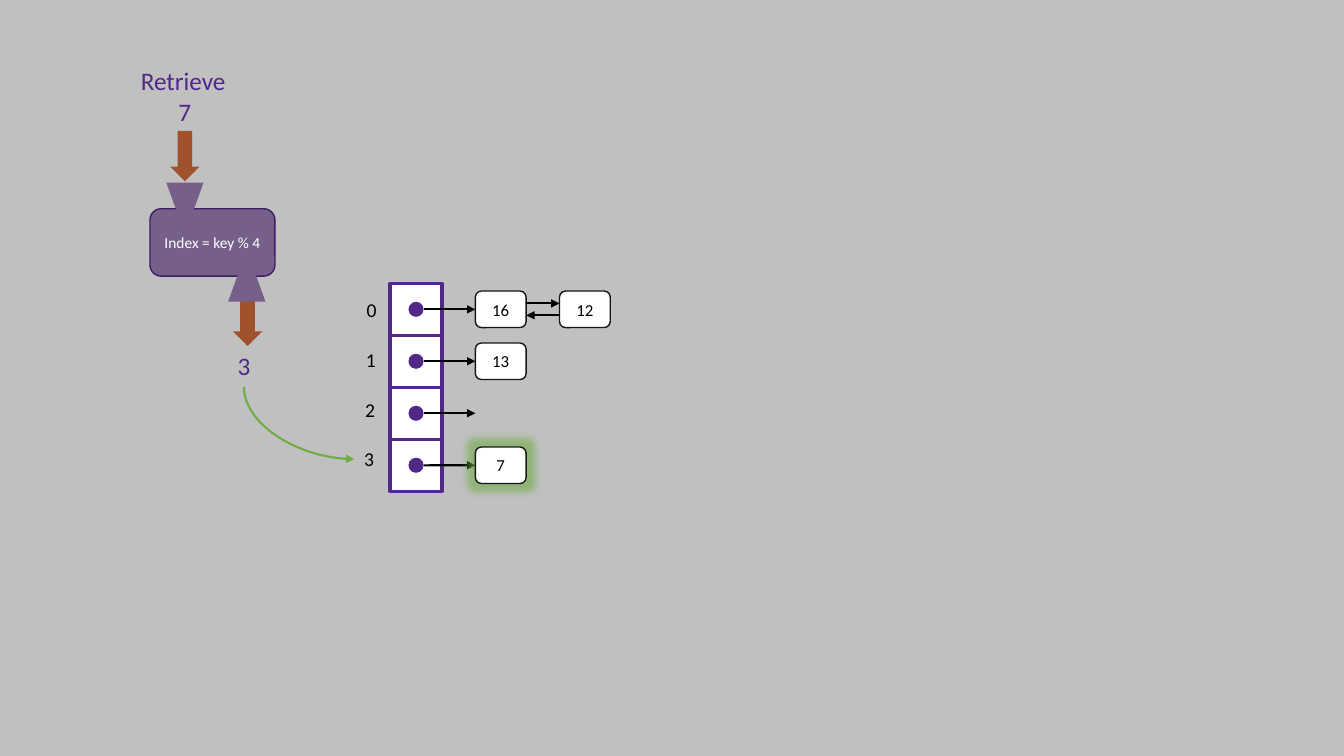
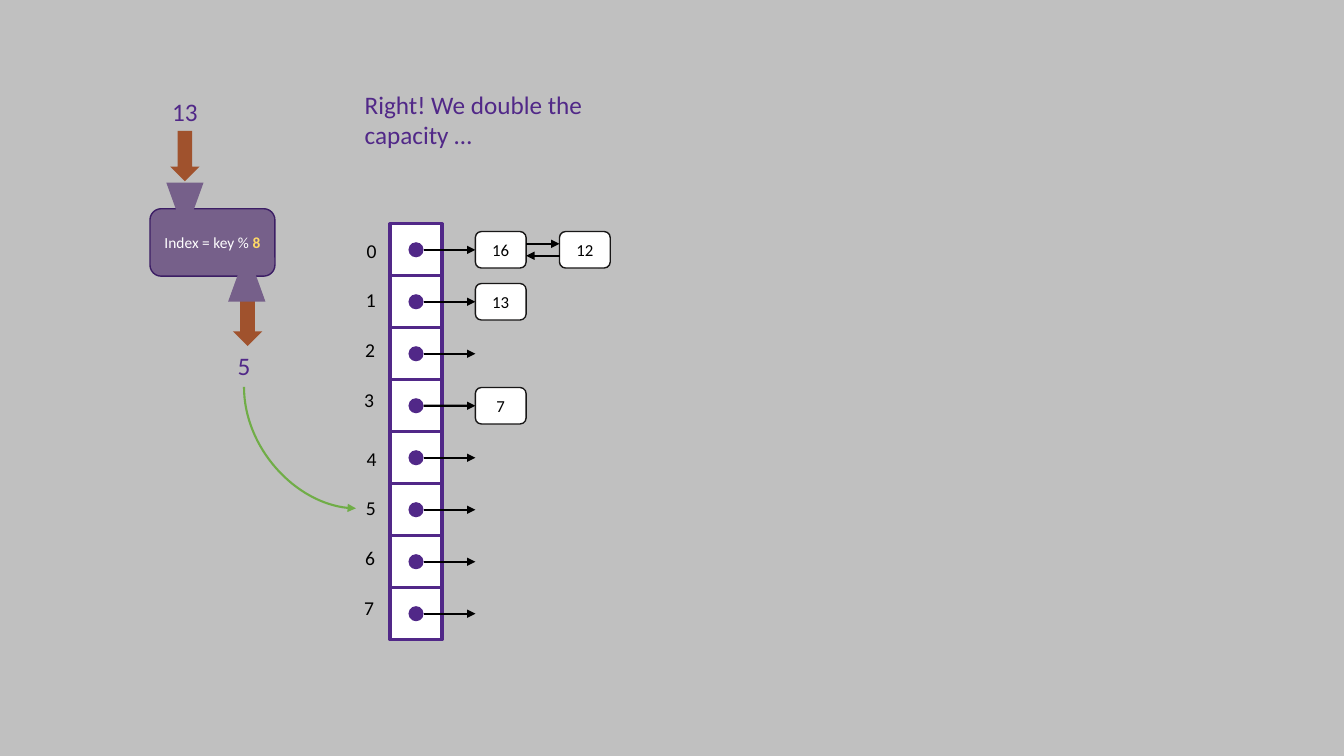
from lxml import etree
from pptx import Presentation, util as u
from pptx.dml.color import RGBColor
from pptx.enum import shapes, text
from pptx.oxml.ns import qn

Cm = u.Cm
KIND = shapes.MSO_SHAPE
COLORS = {
    "background": "C0C0C0", "purple": "512888", "machine": "76608A",
    "machine_edge": "3C1E65", "arrow": "A0522D", "pointer": "70AD47",
    "gold": "FFD966", "white": "FFFFFF", "black": "000000", "node_edge": "181717",
}
FONT = "Calibri"

# Content: chains maps a bucket to the keys stored in it
CHAINS = {0: ["16", "12"], 1: ["13"], 3: ["7"]}
SLIDES = [
    {"key": "7", "formula": [("Index = key % 4", "white", False)], "index": 3,
     "buckets": 4, "table_top": 7.14, "found": "7",
     "captions": [("Retrieve", 3.3, 1.52, 2.67, 1.02, False)]},
    {"key": "13", "formula": [("Index = key % ", "white", False), ("8", "gold", True)],
     "index": 5, "buckets": 8, "table_top": 5.64, "found": None,
     "captions": [("Right! We double the capacity …", 8.94, 2.13, 6.71, 1.8, True)]},
]

# Layout in centimetres
CELL, CELL_LEFT, DOT = 1.31, 9.83, 0.38
NODE_LEFT, NODE_STEP, NODE_W, NODE_H = 11.98, 2.12, 1.28, 0.92
LABEL_LEFT, LABEL_STEP, LABEL_W, LABEL_H = 8.99, 1.25, 0.76, 0.86
LABEL_GROUP = 4
LINK_OFFSET = 0.15
INPUT_X, OUTPUT_X = 4.66, 6.15
NUMBER_W, NUMBER_H = 1.17, 1.02


def color(name):
    return RGBColor.from_string(COLORS[name])


def write(frame, runs, *, size, fill="black", align=text.PP_ALIGN.LEFT,
          anchor=text.MSO_ANCHOR.TOP, wrap=True):
    """Write a string, or a list of (words, colour, bold) runs."""
    if isinstance(runs, str):
        runs = [(runs, fill, False)]
    frame.word_wrap = wrap
    frame.vertical_anchor = anchor
    paragraph = frame.paragraphs[0]
    paragraph.alignment = align
    for words, run_fill, bold in runs:
        run = paragraph.add_run()
        run.text = words
        run.font.name, run.font.size, run.font.bold = FONT, u.Pt(size), bold
        run.font.color.rgb = color(run_fill)


def add_label(slide, words, left, top, width, height, **style):
    label = slide.shapes.add_textbox(Cm(left), Cm(top), Cm(width), Cm(height))
    write(label.text_frame, words, **style)
    label.text_frame.auto_size = text.MSO_AUTO_SIZE.SHAPE_TO_FIT_TEXT
    return label


def add_block(slide, kind, left, top, width, height, fill, edge=None, weight=1):
    block = slide.shapes.add_shape(kind, Cm(left), Cm(top), Cm(width), Cm(height))
    block.shadow.inherit = False
    block.fill.solid()
    block.fill.fore_color.rgb = color(fill)
    if edge:
        block.line.color.rgb = color(edge)
        block.line.width = u.Pt(weight)
    else:
        block.line.fill.background()
    return block


def add_arrow(slide, start, end, stroke="black", kind=shapes.MSO_CONNECTOR.STRAIGHT):
    arrow = slide.shapes.add_connector(kind, *(Cm(v) for v in (*start, *end)))
    arrow.line.color.rgb = color(stroke)
    arrow.line.width = u.Pt(1.5)
    etree.SubElement(arrow.line._get_or_add_ln(), qn("a:tailEnd"), type="triangle")
    etree.SubElement(arrow._element.spPr, qn("a:effectLst"))
    return arrow


def add_quarter_curve(slide, start, end):
    """Curve that leaves downwards and arrives from the left."""
    curve = add_arrow(slide, start, end, "pointer", shapes.MSO_CONNECTOR.CURVE)
    run, drop = end[0] - start[0], end[1] - start[1]
    curve.left = Cm((start[0] + end[0] - drop) / 2)
    curve.top = Cm((start[1] + end[1] - run) / 2)
    curve.width, curve.height = Cm(drop), Cm(run)
    properties = curve._element.spPr
    properties.find(qn("a:prstGeom")).set("prst", "curvedConnector2")
    frame = properties.find(qn("a:xfrm"))
    frame.set("rot", str(270 * 60000))
    frame.set("flipH", "1")


def add_glow(block):
    effects = block._element.spPr.find(qn("a:effectLst"))
    glow = etree.SubElement(effects, qn("a:glow"), rad=str(u.Pt(11)))
    tint = etree.SubElement(glow, qn("a:srgbClr"), val=COLORS["pointer"])
    etree.SubElement(tint, qn("a:alpha"), val="60000")


def add_hash_machine(slide, content):
    center = text.PP_ALIGN.CENTER
    add_block(slide, KIND.DOWN_ARROW, 5.87, 7.45, 0.74, 1.27, "arrow")
    body = add_block(slide, KIND.ROUNDED_RECTANGLE, 3.78, 5.26, 3.15, 1.7,
                     "machine", "machine_edge")
    write(body.text_frame, content["formula"], size=11, align=center,
          anchor=text.MSO_ANCHOR.MIDDLE)
    # Output spout, then input funnel
    for left, top, turn in [(5.75, 6.3, 0), (4.19, 4.6, 180)]:
        spout = add_block(slide, KIND.ISOSCELES_TRIANGLE, left, top, 0.94, 1.3, "machine")
        spout.rotation = turn
    add_block(slide, KIND.DOWN_ARROW, 4.29, 3.3, 0.74, 1.27, "arrow")
    for number, x, top in [(content["key"], INPUT_X, 2.31),
                           (str(content["index"]), OUTPUT_X, 8.71)]:
        add_label(slide, number, x - NUMBER_W / 2, top, NUMBER_W, NUMBER_H,
                  size=18, fill="purple", align=center, wrap=False)


def add_chain(slide, keys, middle, pointer, found):
    for i, key in enumerate(keys):
        left = NODE_LEFT + i * NODE_STEP
        node = add_block(slide, KIND.ROUNDED_RECTANGLE, left, middle - NODE_H / 2,
                         NODE_W, NODE_H, "white", "node_edge")
        write(node.text_frame, key, size=12, align=text.PP_ALIGN.CENTER,
              anchor=text.MSO_ANCHOR.MIDDLE)
        if key == found:
            add_glow(node)
        if i == 0:
            pointer.end_connect(node, 1)
        else:
            previous = left - NODE_STEP + NODE_W
            above, below = middle - LINK_OFFSET, middle + LINK_OFFSET
            add_arrow(slide, (previous, above), (left, above))
            add_arrow(slide, (left, below), (previous, below))


def add_table_of_buckets(slide, content):
    for i in range(content["buckets"]):
        top = content["table_top"] + i * CELL
        middle, dot_left = top + CELL / 2, CELL_LEFT + (CELL - DOT) / 2
        add_block(slide, KIND.RECTANGLE, CELL_LEFT, top, CELL, CELL,
                  "white", "purple", 2.25)
        add_block(slide, KIND.OVAL, dot_left, middle - DOT / 2, DOT, DOT, "purple")
        pointer = add_arrow(slide, (dot_left + DOT, middle), (NODE_LEFT, middle))
        add_chain(slide, CHAINS.get(i, []), middle, pointer, content["found"])

        # Index labels sit slightly closer together than the cells in each group
        group, place = divmod(i, LABEL_GROUP)
        label_left = LABEL_LEFT - 0.02 * place
        label_top = (content["table_top"] + 0.25 + group * LABEL_GROUP * CELL
                     + place * LABEL_STEP)
        add_label(slide, str(i), label_left, label_top, LABEL_W, LABEL_H,
                  size=14, wrap=False)
        if i == content["index"]:
            add_quarter_curve(slide, (OUTPUT_X, 9.75),
                              (label_left, label_top + LABEL_H / 2))


def main():
    prs = Presentation()
    prs.slide_width, prs.slide_height = Cm(33.87), Cm(19.05)
    backdrop = prs.slide_master.background.fill
    backdrop.solid()
    backdrop.fore_color.rgb = color("background")
    for content in SLIDES:
        slide = prs.slides.add_slide(prs.slide_layouts[6])
        add_hash_machine(slide, content)
        add_table_of_buckets(slide, content)
        for words, left, top, width, height, wrap in content["captions"]:
            add_label(slide, words, left, top, width, height,
                      size=18, fill="purple", wrap=wrap)
    prs.save("out.pptx")


if __name__ == "__main__":
    main()
